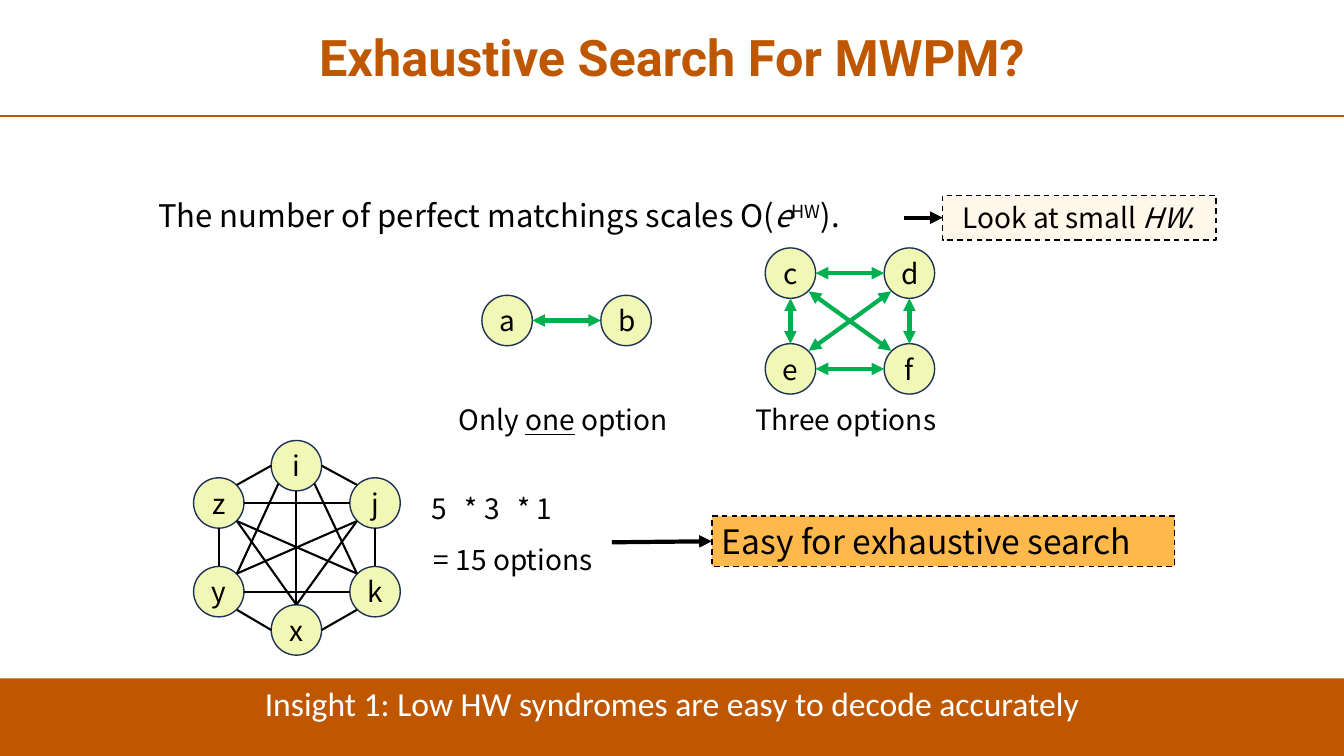
from dataclasses import dataclass
from math import sqrt

from lxml import etree
from pptx import Presentation
from pptx.dml.color import RGBColor
from pptx.enum.dml import MSO_LINE
from pptx.enum.shapes import MSO_CONNECTOR, MSO_SHAPE
from pptx.enum.text import MSO_ANCHOR, MSO_AUTO_SIZE, PP_ALIGN
from pptx.oxml.ns import qn
from pptx.util import Pt

STRAIGHT = MSO_CONNECTOR.STRAIGHT
RECTANGLE, OVAL = MSO_SHAPE.RECTANGLE, MSO_SHAPE.OVAL
DASH = MSO_LINE.DASH
TOP, MIDDLE = MSO_ANCHOR.TOP, MSO_ANCHOR.MIDDLE
LEFT, CENTER = PP_ALIGN.LEFT, PP_ALIGN.CENTER
FIXED, GROW = MSO_AUTO_SIZE.NONE, MSO_AUTO_SIZE.SHAPE_TO_FIT_TEXT

EMU_PER_PX = 9144
BODY_FONT = "Noto Sans CJK JP"
ORANGE, BLACK, GREEN = "BF5700", "000000", "00B050"
NODE_SIZE = 50
RADIUS = NODE_SIZE // 2
DIAGONAL = round(RADIUS / sqrt(2))
SITES = {
    "n": (0, -RADIUS), "s": (0, RADIUS), "w": (-RADIUS, 0), "e": (RADIUS, 0),
    "nw": (-DIAGONAL, -DIAGONAL), "ne": (DIAGONAL, -DIAGONAL),
    "sw": (-DIAGONAL, DIAGONAL), "se": (DIAGONAL, DIAGONAL),
}


@dataclass(frozen=True)
class Run:
    text: str
    italic: bool = False
    underline: bool = False
    superscript: bool = False


@dataclass(frozen=True)
class Style:
    size: float = 20
    font: str = BODY_FONT
    color: str = BLACK
    bold: bool = False
    align: PP_ALIGN = CENTER
    anchor: MSO_ANCHOR = MIDDLE
    wrap: bool = True
    fit: MSO_AUTO_SIZE = FIXED
    spacing: float = 1.0


@dataclass(frozen=True)
class Box:
    left: int
    top: int
    width: int
    height: int
    runs: tuple[Run, ...]
    style: Style
    fill: str = ""
    dashed: bool = False


@dataclass(frozen=True)
class Graph:
    nodes: dict[str, tuple[int, int]]
    edges: tuple[str, ...]
    color: str
    width: float
    arrows: tuple[str, ...] = ()


def px(value: int) -> int:
    return value * EMU_PER_PX


def rgb(color: str) -> RGBColor:
    return RGBColor.from_string(color)


def write(shape, runs: tuple[Run, ...], style: Style) -> None:
    frame = shape.text_frame
    frame.word_wrap = style.wrap
    frame.auto_size = style.fit
    frame.vertical_anchor = style.anchor
    paragraph = frame.paragraphs[0]
    paragraph.alignment = style.align
    paragraph.line_spacing = style.spacing
    paragraph.space_before = Pt(0)
    if shape.is_placeholder:
        properties = paragraph._p.get_or_add_pPr()
        properties.set("marL", "0")
        properties.set("indent", "0")
        etree.SubElement(properties, qn("a:buNone"))
    font = paragraph.font
    font.size, font.name, font.bold = Pt(style.size), style.font, style.bold
    font.color.rgb = rgb(style.color)
    for item in runs:
        run = paragraph.add_run()
        run.text = item.text
        if item.italic:
            run.font.italic = True
        if item.underline:
            run.font.underline = True
        if item.superscript:
            run._r.get_or_add_rPr().set("baseline", "30000")


def fill_placeholder(shape, box: Box) -> None:
    shape.left, shape.top = px(box.left), px(box.top)
    shape.width, shape.height = px(box.width), px(box.height)
    write(shape, box.runs, box.style)


def add_box(slide, box: Box):
    area = [px(value) for value in (box.left, box.top, box.width, box.height)]
    if box.fill:
        shape = slide.shapes.add_shape(RECTANGLE, *area)
        shape.shadow.inherit = False
        shape.fill.solid()
        shape.fill.fore_color.rgb = rgb(box.fill)
        if box.dashed:
            shape.line.color.rgb = rgb(BLACK)
            shape.line.width = Pt(1)
            shape.line.dash_style = DASH
        else:
            shape.line.fill.background()
    else:
        shape = slide.shapes.add_textbox(*area)
    write(shape, box.runs, box.style)
    return shape


def add_line(slide, start: tuple[int, int], end: tuple[int, int], color: str,
             width: float, arrows: tuple[str, ...] = ()):
    line = slide.shapes.add_connector(STRAIGHT, *map(px, start + end))
    line.line.color.rgb = rgb(color)
    line.line.width = Pt(width)
    for arrow in arrows:
        etree.SubElement(line.line._get_or_add_ln(), qn(f"a:{arrow}"), type="triangle")
    etree.SubElement(line._element.spPr, qn("a:effectLst"))
    return line


def add_graph(slide, graph: Graph) -> None:
    for name, (x, y) in graph.nodes.items():
        node = slide.shapes.add_shape(
            OVAL, px(x - RADIUS), px(y - RADIUS), px(NODE_SIZE), px(NODE_SIZE))
        node.shadow.inherit = False
        node.fill.solid()
        node.fill.fore_color.rgb = rgb("F1F7B5")
        node.line.color.rgb = rgb("1E3256")
        node.line.width = Pt(1)
        write(node, (Run(name),), Style())
    for edge in graph.edges:
        start, end = (site_point(graph, name) for name in edge.split())
        add_line(slide, start, end, graph.color, graph.width, graph.arrows)


def site_point(graph: Graph, name: str) -> tuple[int, int]:
    node, site = name.split(".")
    (x, y), (dx, dy) = graph.nodes[node], SITES[site]
    return x + dx, y + dy


BOTH_ENDS = ("headEnd", "tailEnd")
CAPTION = Style(align=LEFT, anchor=TOP, wrap=False, fit=GROW)
FACTOR = Style(fit=GROW)
TITLE = Box(9, 4, 1315, 111, (Run("Exhaustive Search For MWPM?"),),
            Style(36, "Roboto", "BE5700", True, spacing=0.9))
SCALING = Box(92, 186, 806, 60, (
    Run("The number of perfect matchings scales O("), Run("e", italic=True),
    Run("HW", superscript=True), Run(").")), Style(22.2, spacing=0.9))
INSIGHT = Box(0, 673, 1333, 77, (
    Run("Insight 1: Low HW syndromes are easy to decode accurately"),),
    Style(24, "Calibri", "FFFFFF", anchor=TOP), ORANGE)
SMALL_WEIGHT = Box(935, 194, 271, 44, (
    Run("Look at small "), Run("HW", italic=True), Run(".")),
    Style(wrap=False, fit=GROW), "FFF7E9", True)
EASY = Box(706, 512, 459, 50, (Run("Easy for exhaustive search"),),
           Style(24, align=LEFT, anchor=TOP, wrap=False, fit=GROW), "FFB84C", True)
LABELS = (
    Box(445, 394, 237, 44, (Run("Only "), Run("one", underline=True), Run(" option")), CAPTION),
    Box(739, 394, 208, 44, (Run("Three options"),), CAPTION),
    Box(411, 533, 196, 44, (Run("= 15 options"),), Style(anchor=TOP, wrap=False, fit=GROW)),
    Box(418, 482, 35, 44, (Run("5"),), FACTOR),
    Box(445, 482, 67, 44, (Run("* 3"),), FACTOR),
    Box(497, 482, 67, 44, (Run("* 1"),), FACTOR),
)
GRAPHS = (
    Graph({"a": (503, 318), "b": (621, 318)}, ("a.e b.w",), GREEN, 3, BOTH_ENDS),
    Graph({"c": (784, 271), "d": (902, 271), "e": (784, 366), "f": (902, 366)},
          ("c.e d.w", "e.e f.w", "c.s e.n", "d.s f.n", "c.se f.nw", "d.sw e.ne"),
          GREEN, 3, BOTH_ENDS),
    Graph({"i": (294, 462), "j": (372, 499), "k": (372, 587),
           "x": (294, 625), "y": (217, 587), "z": (217, 499)},
          ("z.ne i.w", "y.n z.s", "y.se x.w", "k.sw x.e", "j.s k.n",
           "i.e j.nw", "z.se x.n", "j.sw y.ne", "j.w z.e", "k.nw z.se",
           "i.s x.n", "j.sw x.n", "i.sw y.ne", "k.w y.e", "k.nw i.se"),
          BLACK, 1.5),
)


def main() -> None:
    presentation = Presentation()
    presentation.slide_width, presentation.slide_height = px(1333), px(750)
    slide = presentation.slides.add_slide(presentation.slide_layouts[1])
    fill_placeholder(slide.shapes.title, TITLE)
    fill_placeholder(slide.placeholders[1], SCALING)
    add_line(slide, (0, 115), (1333, 115), ORANGE, 1.5)
    add_box(slide, INSIGHT)
    for graph in GRAPHS:
        add_graph(slide, graph)
    for label in LABELS:
        add_box(slide, label)
    for box, start in ((SMALL_WEIGHT, (897, 216)), (EASY, (607, 538))):
        target = add_box(slide, box)
        end = (box.left, box.top + box.height // 2)
        arrow = add_line(slide, start, end, BLACK, 3, ("tailEnd",))
        arrow.end_connect(target, 1)
    presentation.save("out.pptx")


if __name__ == "__main__":
    main()
